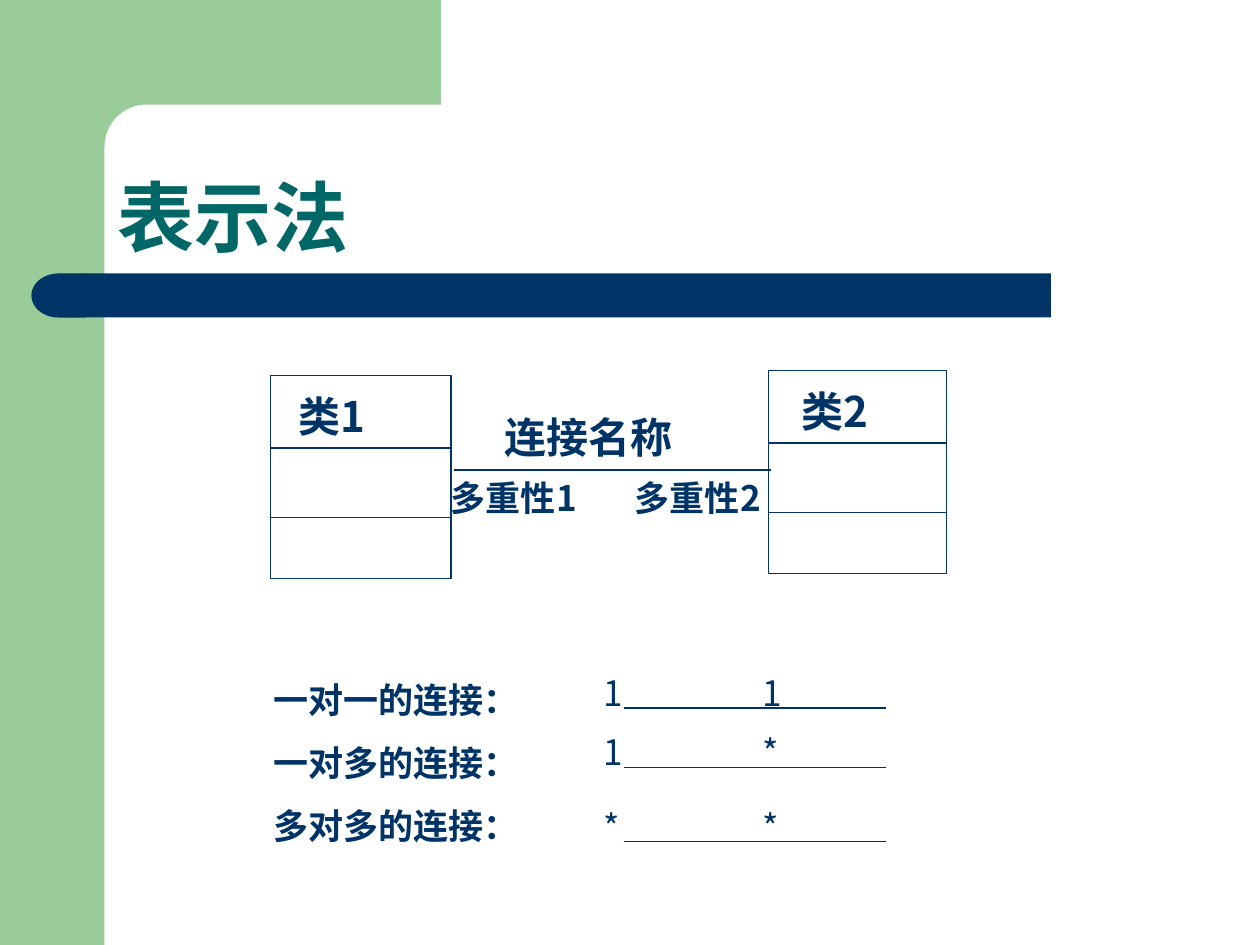
from lxml import etree
from pptx import Presentation
from pptx.dml.color import RGBColor
from pptx.enum.shapes import MSO_CONNECTOR, MSO_SHAPE
from pptx.enum.text import MSO_ANCHOR, MSO_AUTO_SIZE, PP_ALIGN
from pptx.oxml.ns import qn
from pptx.util import Inches, Pt

RECT = MSO_SHAPE.RECTANGLE
ROUNDED = MSO_SHAPE.ROUNDED_RECTANGLE
DELAY = MSO_SHAPE.FLOWCHART_DELAY
STRAIGHT = MSO_CONNECTOR.STRAIGHT

COLORS = {"green": "99CC99", "white": "FFFFFF", "navy": "003366", "teal": "006666"}
TITLE_FONT, BODY_FONT = "Noto Sans CJK JP", "Noto Sans CJK SC"

# Content
TITLE = "表示法"
# name, left, top, width, indent of the name
CLASSES = [("类1", 2.15, 2.98, 1.43, 0.12), ("类2", 6.1, 2.94, 1.41, 0.16)]
CLASS_HEIGHT = 1.61
DIVIDERS = (0.575, 1.125)
# text, left, top, width, height, size
ASSOCIATION_LABELS = [
    ("连接名称", 3.91, 3.22, 1.53, 0.5, 24),
    ("多重性1", 3.48, 3.73, 1.32, 0.44, 20),
    ("多重性2", 4.94, 3.73, 1.32, 0.44, 20),
]
LINK_KINDS = ["一对一的连接：", "一对多的连接：", "多对多的连接："]
# left end, right end, height of the line
LINK_ENDS = [("1", "1", 5.62), ("1", "*", 6.09), ("*", "*", 6.68)]
# shape, left, top, width, height, colour, corner
DECORATION = [
    (RECT, 0, 0, 0.83, 7.5, "green", None),
    (RECT, 0.75, 0, 2.75, 1.17, "green", None),
    (ROUNDED, 0.83, 0.83, 5.58, 0.67, "white", 0.5),
    (RECT, 0.67, 2.17, 7.67, 0.35, "navy", None),
    (DELAY, 0.25, 2.17, 0.43, 0.35, "navy", None),
]


def color(name):
    return RGBColor.from_string(COLORS[name])


def style(para, size, name="navy", bold=True, font=BODY_FONT):
    para.font.size = Pt(size)
    para.font.bold = bold
    para.font.color.rgb = color(name)
    para.font.name = font
    defaults = para._p.pPr.find(qn("a:defRPr"))
    etree.SubElement(defaults, qn("a:ea")).set("typeface", font)


def add_shape(page, kind, left, top, width, height):
    shape = page.shapes.add_shape(kind, *map(Inches, (left, top, width, height)))
    shape.shadow.inherit = False
    return shape


def add_line(page, left, right, y):
    line = page.shapes.add_connector(STRAIGHT, *map(Inches, (left, y, right, y)))
    line.line.color.rgb = color("navy")
    line.line.width = Pt(0.75)
    etree.SubElement(line._element.spPr, qn("a:effectLst"))


def add_text(page, lines, left, top, width, height, size, bold=True, spacing=None, tab=None):
    box = page.shapes.add_textbox(*map(Inches, (left, top, width, height)))
    frame = box.text_frame
    frame.word_wrap = tab is not None
    frame.text = "\n".join(lines)
    for para in frame.paragraphs:
        if spacing:
            para.line_spacing = spacing
        if tab:
            stops = etree.SubElement(para._p.get_or_add_pPr(), qn("a:tabLst"))
            etree.SubElement(stops, qn("a:tab"), pos=str(Inches(tab)), algn="l")
        style(para, size, bold=bold)


def main():
    deck = Presentation()
    deck.slide_width, deck.slide_height = Inches(10), Inches(7.5)
    page = deck.slides.add_slide(deck.slide_layouts[5])

    # Background bands and title bar
    for kind, left, top, width, height, fill, corner in DECORATION:
        shape = add_shape(page, kind, left, top, width, height)
        shape.fill.solid()
        shape.fill.fore_color.rgb = color(fill)
        shape.line.fill.background()
        if corner is not None:
            shape.adjustments[0] = corner
        if kind == DELAY:
            shape._element.spPr.xfrm.set("flipH", "1")

    # Title, in front of the bands
    title = page.shapes.title
    page.shapes._spTree.append(title._element)
    title.left, title.top = Inches(0.83), Inches(1.62)
    title.width, title.height = Inches(8.5), Inches(0.52)
    frame = title.text_frame
    frame.text = TITLE
    frame.auto_size = MSO_AUTO_SIZE.NONE
    frame.vertical_anchor = MSO_ANCHOR.BOTTOM
    para = frame.paragraphs[0]
    para.alignment = PP_ALIGN.LEFT
    para.line_spacing = 0.9
    style(para, 44, "teal", font=TITLE_FONT)

    # Class boxes
    for name, left, top, width, indent in CLASSES:
        outline = add_shape(page, RECT, left, top, width, CLASS_HEIGHT)
        outline.fill.background()
        outline.line.color.rgb = color("navy")
        outline.line.width = Pt(0.75)
        for offset in DIVIDERS:
            add_line(page, left, left + width, top + offset)
        add_text(page, [name], left + indent, top + 0.07, 0.81, 0.5, 24)

    # Association between the classes
    add_line(page, 3.6, 6.12, 3.73)
    for text, left, top, width, height, size in ASSOCIATION_LABELS:
        add_text(page, [text], left, top, width, height, size)

    # Kinds of link
    add_text(page, LINK_KINDS, 2.07, 5.17, 2.15, 1.6, 20, spacing=1.5)
    for start, end, y in LINK_ENDS:
        add_line(page, 4.95, 7.03, y)
        add_text(page, [f"{start}\t{end}"], 4.69, y - 0.34, 3.55, 0.44, 20,
                 bold=False, tab=1.26)

    deck.save("out.pptx")


if __name__ == "__main__":
    main()
